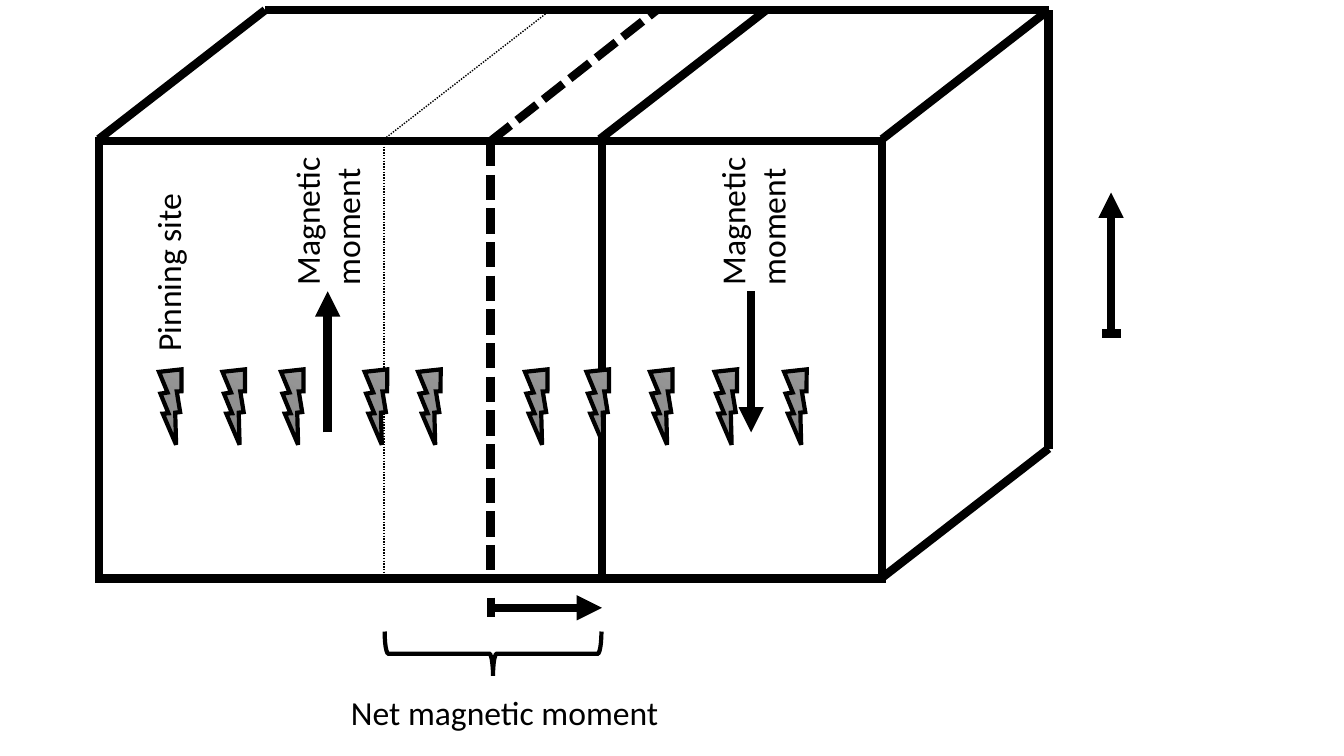
import pptx
import pptx.util
import pptx.dml.color
import pptx.enum.dml
import pptx.enum.shapes
import pptx.enum.text
import pptx.oxml.ns
import copy
import lxml.etree

Inches = pptx.util.Inches
qn = pptx.oxml.ns.qn
KIND = pptx.enum.shapes.MSO_SHAPE
DASH = pptx.enum.dml.MSO_LINE

COLORS = {"ink": "000000", "paper": "FFFFFF"}
SHADES = [(0, "9D9D9D"), (0.5, "909090"), (1, "7C7C7C")]
FONT = "Calibri"

FRONT = (0.98, 1.4, 7.77, 4.34)
DEPTH = (1.65, 1.28)
EDGE, FLOOR = 1.38, 5.73
BOLTS = [1.45, 2.08, 2.66, 3.49, 4.02, 5.08, 5.69, 6.32, 6.96, 7.65]
MOMENTS = [((3.25, 4.29), (3.25, 2.89)), ((7.45, 2.89), (7.45, 4.29))]
SHIFTS = [
    [((11.02, 3.31), (11.02, 1.91)), ((10.93, 3.31), (11.12, 3.31))],
    [((4.87, 6.03), (5.97, 6.03)), ((4.87, 5.93), (4.87, 6.12))],
]
LABELS = [
    ("Pinning site", (0.59, 2.26, 2.15, 0.5)),
    ("Magnetic moment", (2.17, 1.4, 2.15, 0.91)),
    ("Magnetic moment", (6.39, 1.4, 2.15, 0.91)),
]
NET = ("Net magnetic moment", (2.69, 6.82, 4.63, 0.5))
BRACE = (4.67, 5.41, 0.44, 2.15)


def rgb(code):
    return pptx.dml.color.RGBColor.from_string(code)


def ink(line, width):
    line.color.rgb = rgb(COLORS["ink"])
    line.width = pptx.util.Pt(width)


def draw(host, start, end, width=6, dash=None, arrow=False):
    link = host.shapes.add_connector(
        pptx.enum.shapes.MSO_CONNECTOR.STRAIGHT,
        *[Inches(v) for v in (*start, *end)])
    ink(link.line, width)
    if dash:
        link.line.dash_style = dash
    props = link._element.spPr
    if arrow:
        tail = lxml.etree.SubElement(props.find(qn("a:ln")), qn("a:tailEnd"))
        tail.set("type", "triangle")
    lxml.etree.SubElement(props, qn("a:effectLst"))
    return link


def add(slide, kind, area, width=0, turn=0):
    shape = slide.shapes.add_shape(kind, *[Inches(v) for v in area])
    shape.shadow.inherit = False
    shape.rotation = turn
    if width:
        ink(shape.line, width)
        join = lxml.etree.SubElement(
            shape._element.spPr.find(qn("a:ln")), qn("a:miter"))
        join.set("lim", "800000")
    else:
        shape.line.fill.background()
    return shape


def white(shape):
    shape.fill.solid()
    shape.fill.fore_color.rgb = rgb(COLORS["paper"])


def shade(shape):
    shape.fill.gradient()
    shape.fill.gradient_angle = 270
    stops = shape._element.spPr.find(qn("a:gradFill")).find(qn("a:gsLst"))
    stops.append(copy.deepcopy(stops[0]))
    for stop, (place, code) in zip(shape.fill.gradient_stops, SHADES):
        stop.color.rgb = rgb(code)
        stop.position = place


def write(shape, text, align):
    frame = shape.text_frame
    frame.word_wrap = True
    frame.auto_size = pptx.enum.text.MSO_AUTO_SIZE.SHAPE_TO_FIT_TEXT
    frame.vertical_anchor = pptx.enum.text.MSO_ANCHOR.TOP
    para = frame.paragraphs[0]
    para.alignment = align
    run = para.add_run()
    run.text = text
    run.font.name = FONT
    run.font.size = pptx.util.Pt(24)
    run.font.color.rgb = rgb(COLORS["ink"])


def main():
    deck = pptx.Presentation()
    deck.slide_width, deck.slide_height = Inches(13.33), Inches(7.5)
    slide = deck.slides.add_slide(deck.slide_layouts[6])

    front = add(slide, KIND.RECTANGLE, FRONT, 6)
    white(front)
    left, top, wide, _ = FRONT
    right, mid = left + wide, left + wide / 2
    run, rise = DEPTH
    back = EDGE - rise

    wall = draw(slide, (mid, top), (mid, FLOOR), dash=DASH.SQUARE_DOT)
    wall.begin_connect(front, 0)
    wall.end_connect(front, 2)
    draw(slide, (5.97, top), (5.97, FLOOR))
    draw(slide, (3.81, top), (3.81, FLOOR), 1, DASH.ROUND_DOT)

    for x, width, dash in [(left, 6, None), (right, 6, None), (5.95, 6, None),
                           (mid, 6, DASH.SQUARE_DOT),
                           (3.81, 1, DASH.ROUND_DOT)]:
        slant = draw(slide, (x, EDGE), (x + run, back), width, dash)
        if x == mid:
            slant.begin_connect(front, 0)
    draw(slide, (left + run, back), (right + run, back))
    draw(slide, (right + run, FLOOR - rise), (right + run, back))
    draw(slide, (right, FLOOR), (right + run, FLOOR - rise))

    for start, end in MOMENTS:
        draw(slide, start, end, arrow=True)
    for shaft, stop in SHIFTS:
        group = slide.shapes.add_group_shape()
        draw(group, *shaft, arrow=True)
        draw(group, *stop)

    for x in BOLTS:
        shade(add(slide, KIND.LIGHTNING_BOLT, (x, 3.65, 0.48, 0.69), 3, 27.1))

    for text, area in LABELS:
        box = slide.shapes.add_textbox(*[Inches(v) for v in area])
        box.rotation = 270
        write(box, text, pptx.enum.text.PP_ALIGN.LEFT)

    text, area = NET
    plate = add(slide, KIND.RECTANGLE, area)
    white(plate)
    write(plate, text, pptx.enum.text.PP_ALIGN.CENTER)
    add(slide, KIND.LEFT_BRACE, BRACE, 3, 270).fill.background()

    deck.save("out.pptx")


if __name__ == "__main__":
    main()
